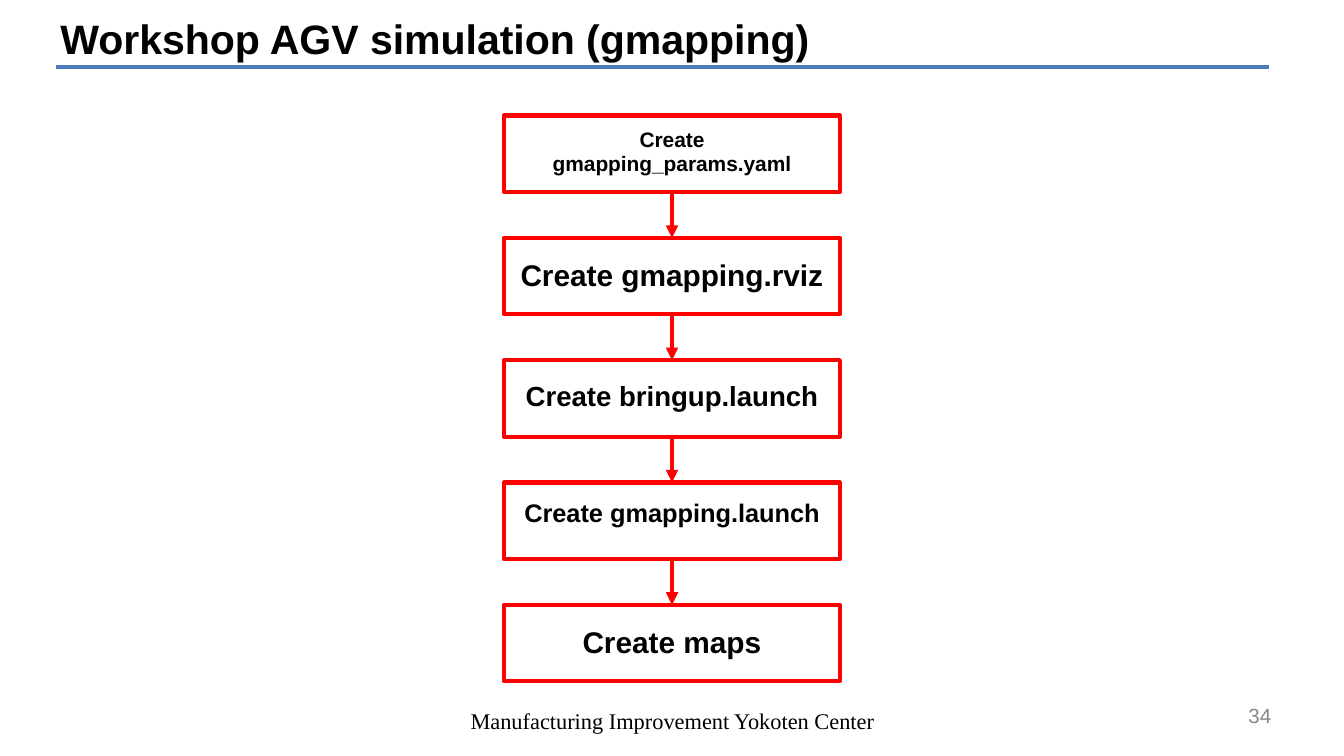
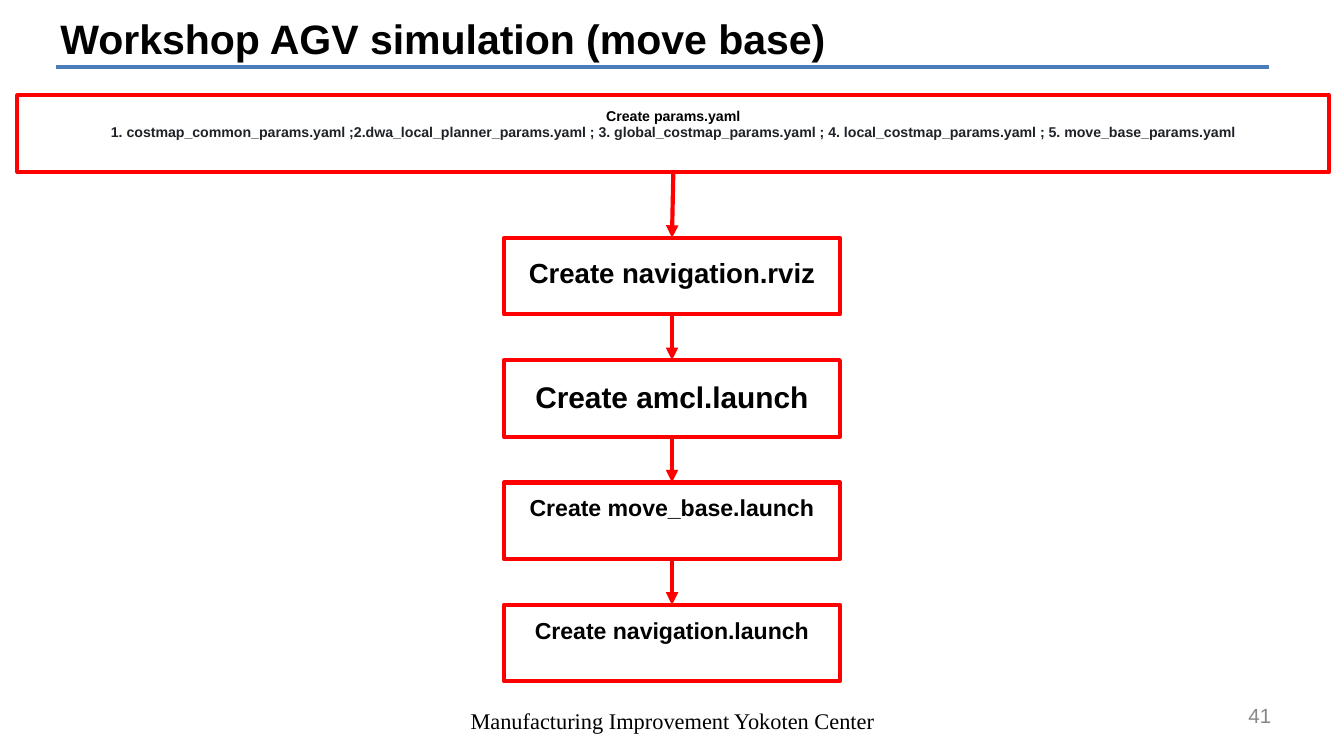
import lxml.etree
import pptx
import pptx.dml.color
import pptx.enum.shapes
import pptx.enum.text
import pptx.oxml.ns
import pptx.util

Inches = pptx.util.Inches
Pt = pptx.util.Pt
qn = pptx.oxml.ns.qn
ALIGN = pptx.enum.text.PP_ALIGN
ANCHOR = pptx.enum.text.MSO_ANCHOR
STRAIGHT = pptx.enum.shapes.MSO_CONNECTOR.STRAIGHT

COLORS = {
    "text": "000000",
    "file list": "1F2328",
    "page number": "888888",
    "rule": "4A7DBA",
    "flow": "FF0000",
}

SLIDE_W = 10
SLIDE_H = SLIDE_W * 9 / 16
STEP_W, STEP_H = SLIDE_W / 4, 0.57
STEP_LEFT = (SLIDE_W - STEP_W) / 2
FIRST_ROW, ROW_PITCH = 0.86, 0.91
BOTTOM_SIDE, TOP_SIDE = 2, 0  # connection sites of a rectangle

# Each step: lines of text, font size, line spacing
WORKSHOPS = [
    {
        "title": "Workshop AGV simulation (gmapping)",
        "title width": 5.99,
        "page": "34",
        "first box": (STEP_LEFT, FIRST_ROW, STEP_W),
        "steps": [
            (["Create gmapping_params.yaml"], 11.2, 0.95),
            (["Create gmapping.rviz"], 16, 1.15),
            (["Create bringup.launch"], 14.8, 1.15),
            (["Create gmapping.launch"], 13.6, 1.05),
            (["Create maps"], 16, 1.15),
        ],
    },
    {
        "title": "Workshop AGV simulation (move base)",
        "title width": 6.57,
        "page": "41",
        "first box": (0.13, 0.71, 9.76),
        "steps": [
            (["Create params.yaml",
              "1. costmap_common_params.yaml ;2.dwa_local_planner_params.yaml ; "
              "3. global_costmap_params.yaml ; 4. local_costmap_params.yaml ; "
              "5. move_base_params.yaml"], 7.6, 0.95),
            (["Create navigation.rviz"], 14.8, 1.15),
            (["Create amcl.launch"], 16, 1.15),
            (["Create move_base.launch"], 12.4, 0.95),
            (["Create navigation.launch"], 12.4, 0.95),
        ],
    },
]


def write(shape, lines, size, color="text", align=ALIGN.CENTER, font="Arial",
          bold=True, spacing=1.0, anchor=ANCHOR.TOP, insets=(0.1, 0.1)):
    """Fill a shape with formatted lines; insets are (sides, top and bottom)."""
    frame = shape.text_frame
    frame.text = "\n".join(lines)
    frame.word_wrap = True
    frame.auto_size = pptx.enum.text.MSO_AUTO_SIZE.NONE
    frame.vertical_anchor = anchor
    frame.margin_left = frame.margin_right = Inches(insets[0])
    frame.margin_top = frame.margin_bottom = Inches(insets[1])
    for paragraph in frame.paragraphs:
        paragraph.alignment = align
        paragraph.line_spacing = spacing
        for run in paragraph.runs:
            run.font.name = font
            run.font.size = Pt(size)
            run.font.bold = bold
            run.font.color.rgb = pptx.dml.color.RGBColor.from_string(COLORS[color])


def style_line(connector, color, arrow=False):
    connector.line.color.rgb = pptx.dml.color.RGBColor.from_string(COLORS[color])
    connector.line.width = Pt(2.25)
    properties = connector._element.spPr
    if arrow:
        head = lxml.etree.SubElement(properties.find(qn("a:ln")), qn("a:tailEnd"))
        head.set("type", "triangle")
    lxml.etree.SubElement(properties, qn("a:effectLst"))


deck = pptx.Presentation()
deck.slide_width = Inches(SLIDE_W)
deck.slide_height = Inches(SLIDE_H)
title_only = deck.slide_layouts[5]

for workshop in WORKSHOPS:
    slide = deck.slides.add_slide(title_only)
    shapes = slide.shapes

    rule = shapes.add_connector(STRAIGHT, Inches(0.42), Inches(0.5), Inches(9.44), Inches(0.5))
    style_line(rule, "rule")

    page_number = shapes.add_textbox(Inches(7.22), Inches(5.17), Inches(2.33), Inches(0.3))
    write(page_number, [workshop["page"]], 11, "page number", ALIGN.RIGHT,
          bold=False, anchor=ANCHOR.MIDDLE, insets=(0.09, 0.04))

    footer = shapes.add_textbox(Inches(3.08), Inches(5.21), Inches(3.85), Inches(0.3))
    write(footer, ["Manufacturing Improvement Yokoten Center"], 12, font="Times New Roman",
          bold=False, anchor=ANCHOR.MIDDLE, insets=(0.09, 0.09))

    title = shapes.title
    title.left, title.top = Inches(0.35), Inches(0)
    title.width, title.height = Inches(workshop["title width"]), Inches(0.57)
    write(title, [workshop["title"]], 22, align=ALIGN.LEFT)

    boxes = []
    for row, (lines, size, spacing) in enumerate(workshop["steps"]):
        left, top, width = STEP_LEFT, FIRST_ROW + row * ROW_PITCH, STEP_W
        if row == 0:
            left, top, width = workshop["first box"]
        box = shapes.add_shape(pptx.enum.shapes.MSO_SHAPE.RECTANGLE,
                               Inches(left), Inches(top), Inches(width), Inches(STEP_H))
        box.shadow.inherit = False
        box.fill.background()
        box.line.color.rgb = pptx.dml.color.RGBColor.from_string(COLORS["flow"])
        box.line.width = Pt(2.25)
        write(box, lines, size, spacing=spacing, insets=(0.11, 0.1))
        boxes.append(box)

    for file_list in boxes[0].text_frame.paragraphs[1:]:
        file_list.runs[0].font.color.rgb = pptx.dml.color.RGBColor.from_string(
            COLORS["file list"])

    for upper, lower in zip(boxes, boxes[1:]):
        arrow = shapes.add_connector(STRAIGHT, 0, 0, 0, 0)
        arrow.begin_connect(upper, BOTTOM_SIDE)
        arrow.end_connect(lower, TOP_SIDE)
        style_line(arrow, "flow", arrow=True)

deck.save("out.pptx")
